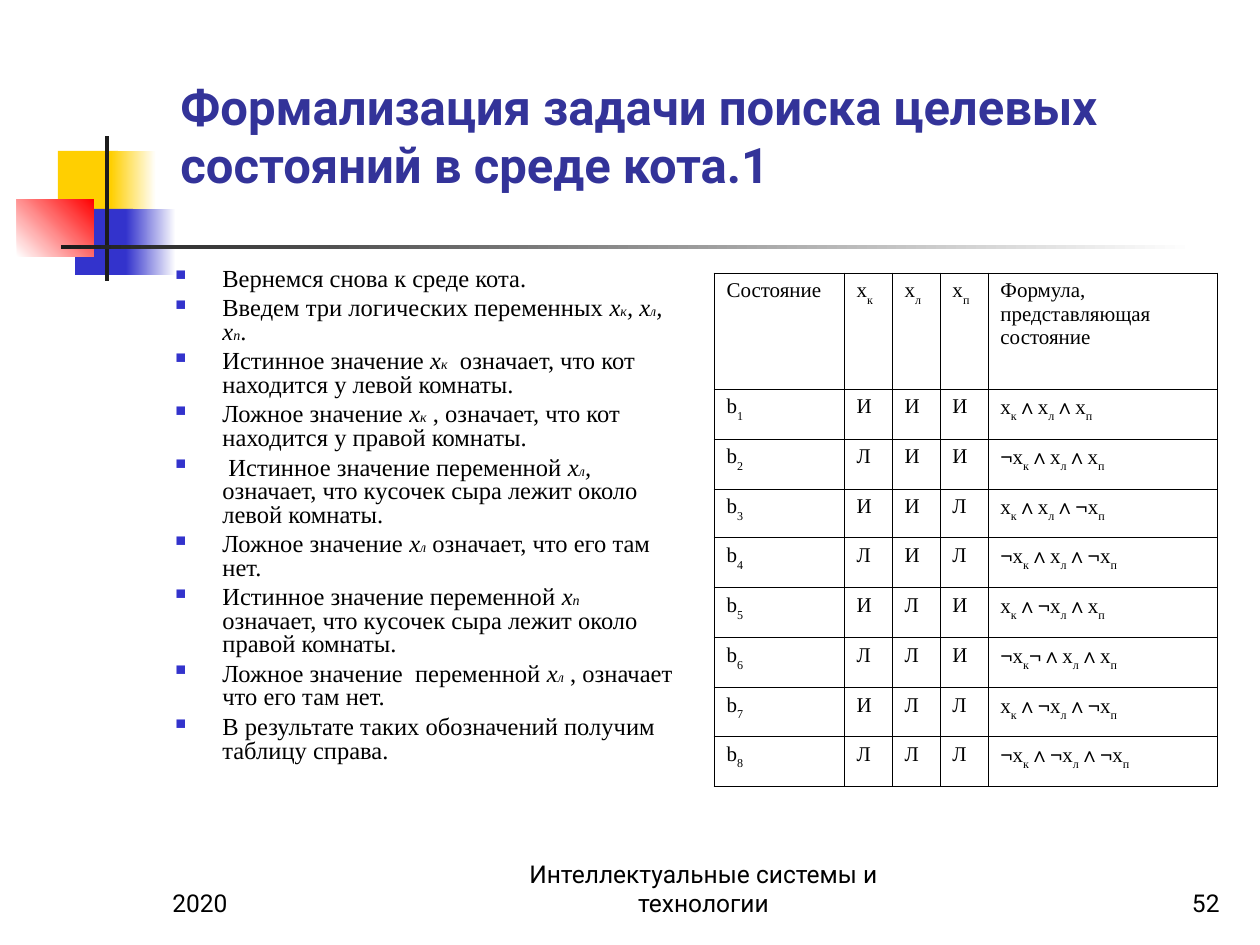
from lxml.etree import SubElement
from pptx import Presentation
from pptx.dml.color import RGBColor
from pptx.enum.shapes import MSO_SHAPE
from pptx.enum.text import MSO_ANCHOR, PP_ALIGN
from pptx.oxml.ns import qn
from pptx.util import Emu, Pt

SCALE = 914400 / 126
BLACK, WHITE, BLUE, YELLOW, DARK = "000000", "FFFFFF", "3333CC", "FFCF01", "1C1C1C"
SERIF = "Times New Roman"

BLOCKS = [
    ((58, 151, 60, 66), [YELLOW], 0),
    ((111, 151, 45, 66), [YELLOW, WHITE], 0),
    ((75, 209, 58, 66), [BLUE], 0),
    ((126, 209, 50, 66), [BLUE, WHITE], 0),
    ((17, 199, 77, 58), [WHITE, "FF0000"], 45),
    ((105, 136, 4, 145), [DARK], 0),
    ((61, 245, 1134, 4), [DARK, WHITE], 0),
]
FOOTERS = [
    ((160, 861, 262, 63), "2020", PP_ALIGN.LEFT),
    ((504, 861, 399, 63), "Интеллектуальные системы и технологии", PP_ALIGN.CENTER),
    ((970, 861, 262, 63), "52", PP_ALIGN.RIGHT),
]
BULLETS = [
    "Вернемся снова к среде кота.",
    "Введем три логических переменных |*x|_к|*, x|_л|*, x|_п|.",
    "Истинное значение |*x|_к|  означает, что кот находится у левой комнаты.",
    "Ложное значение |*x|_к| , означает, что кот находится у правой комнаты.",
    " Истинное значение переменной |*x|_л|*,| означает, что кусочек сыра лежит около левой комнаты.",
    "Ложное значение |*x|_л| означает, что его там нет.",
    "Истинное значение переменной |*x|_п|* |означает, что кусочек сыра лежит около правой комнаты.",
    "Ложное значение  переменной |*x|_л|* |, означает что его там нет.",
    "В результате таких обозначений получим таблицу справа.",
]
BODY_STYLES = {"*": {"italic": True}, "_": {"italic": True, "size": Pt(8)}}
TABLE_STYLES = {"_": {"baseline": -30000}, "&": {"name": "Arial"}}
VARIABLES = ["x|_к", "x|_л", "x|_п"]
HEADER = ["Состояние", *VARIABLES, "Формула, представляющая состояние"]
STATES = [
    ("ИИИ", ["", "∧", "∧"]),
    ("ЛИИ", ["¬", "∧", "∧"]),
    ("ИИЛ", ["", "∧", "∧¬"]),
    ("ЛИЛ", ["¬", "∧", "∧¬"]),
    ("ИЛИ", ["", "∧¬", "∧"]),
    ("ЛЛИ", ["¬", "¬∧", "∧"]),
    ("ИЛЛ", ["", "∧¬", "∧¬"]),
    ("ЛЛЛ", ["¬", "∧¬", "∧¬"]),
]


def px(value):
    return Emu(round(value * SCALE))


def color(code):
    return RGBColor.from_string(code)


def formula(signs):
    return "|".join(f"&{sign}|{name}" for sign, name in zip(signs, VARIABLES))


class SlideBuilder:
    """Holds the text style and the current page, and adds elements to it."""

    def __init__(self, page, line_color=BLACK, line_width=5715):
        self.page = page
        self.line_color = line_color
        self.line_width = line_width

    def block(self, place, colors, angle):
        shape = self.page.shapes.add_shape(MSO_SHAPE.RECTANGLE, *map(px, place))
        shape.shadow.inherit = False
        shape.line.fill.background()
        if len(colors) == 1:
            shape.fill.solid()
            shape.fill.fore_color.rgb = color(colors[0])
            return
        shape.fill.gradient()
        shape.fill.gradient_angle = angle
        for position, (stop, code) in enumerate(zip(shape.fill.gradient_stops, colors)):
            stop.position = position
            stop.color.rgb = color(code)

    def spans(self, para, text, base, styles, code=BLACK):
        for part in filter(None, text.split("|")):
            extra = styles.get(part[0])
            words = part if extra is None else part[1:]
            if not words:
                continue
            span = para.add_run()
            span.text = words
            span.font.color.rgb = color(code)
            for key, value in {**base, **(extra or {})}.items():
                if key == "baseline":
                    span.font._element.set(key, str(value))
                else:
                    setattr(span.font, key, value)

    def text(self, place, lines, base, styles=None, code=BLACK,
             anchor=MSO_ANCHOR.BOTTOM, align=PP_ALIGN.LEFT, bullets=False):
        box = self.page.shapes.add_textbox(*map(px, place))
        frame = box.text_frame
        frame.word_wrap = True
        frame.vertical_anchor = anchor
        for index, line in enumerate(lines):
            para = frame.add_paragraph() if index else frame.paragraphs[0]
            para.alignment = align
            if bullets:
                self.bullet(para)
                para.line_spacing = 0.8
                para.space_before = Pt(3.5 if index else 0)
            self.spans(para, line, base, styles or {}, code)

    def bullet(self, para):
        properties = para._p.get_or_add_pPr()
        properties.set("marL", str(px(47)))
        properties.set("indent", str(-px(47)))
        tint = SubElement(properties, qn("a:buClr"))
        SubElement(tint, qn("a:srgbClr"), val=BLUE)
        SubElement(properties, qn("a:buSzPct"), val="60000")
        SubElement(properties, qn("a:buChar"), char="■")

    def table(self, left, top, widths, heights, rows, base, styles):
        place = (left, top, sum(widths), sum(heights))
        table = self.page.shapes.add_table(len(rows), len(widths), *map(px, place)).table
        table.first_row = table.horz_banding = False
        for column, width in zip(table.columns, widths):
            column.width = px(width)
        for row, height, texts in zip(table.rows, heights, rows):
            row.height = px(height)
            for cell, text in zip(row.cells, texts):
                self.spans(cell.text_frame.paragraphs[0], text, base, styles)
                self.borders(cell)
                cell.fill.background()

    def borders(self, cell):
        properties = cell._tc.get_or_add_tcPr()
        for side in ("lnL", "lnR", "lnT", "lnB"):
            line = SubElement(properties, qn(f"a:{side}"), w=str(self.line_width))
            fill = SubElement(line, qn("a:solidFill"))
            SubElement(fill, qn("a:srgbClr"), val=self.line_color)


def main():
    deck = Presentation()
    deck.slide_width, deck.slide_height = px(1260), px(945)
    builder = SlideBuilder(deck.slides.add_slide(deck.slide_layouts[6]))
    for place, colors, angle in BLOCKS:
        builder.block(place, colors, angle)
    builder.text((168, 21, 1074, 179),
                 ["Формализация задачи поиска целевых состояний в среде кота.1"],
                 {"name": "Roboto", "size": Pt(28), "bold": True}, code="333399")
    builder.text((163, 262, 525, 582), BULLETS, {"name": SERIF, "size": Pt(14)},
                 BODY_STYLES, anchor=MSO_ANCHOR.TOP, bullets=True)
    rows = [HEADER] + [[f"b|_{number}", *values, formula(signs)]
                       for number, (values, signs) in enumerate(STATES, 1)]
    builder.table(714, 273, [130, 48, 48, 48, 230], [116] + [50, 50, 49, 50] * 2,
                  rows, {"name": SERIF, "size": Pt(12)}, TABLE_STYLES)
    for place, words, align in FOOTERS:
        builder.text(place, [words], {"name": "Roboto", "size": Pt(14)}, align=align)
    deck.save("out.pptx")


if __name__ == "__main__":
    main()
